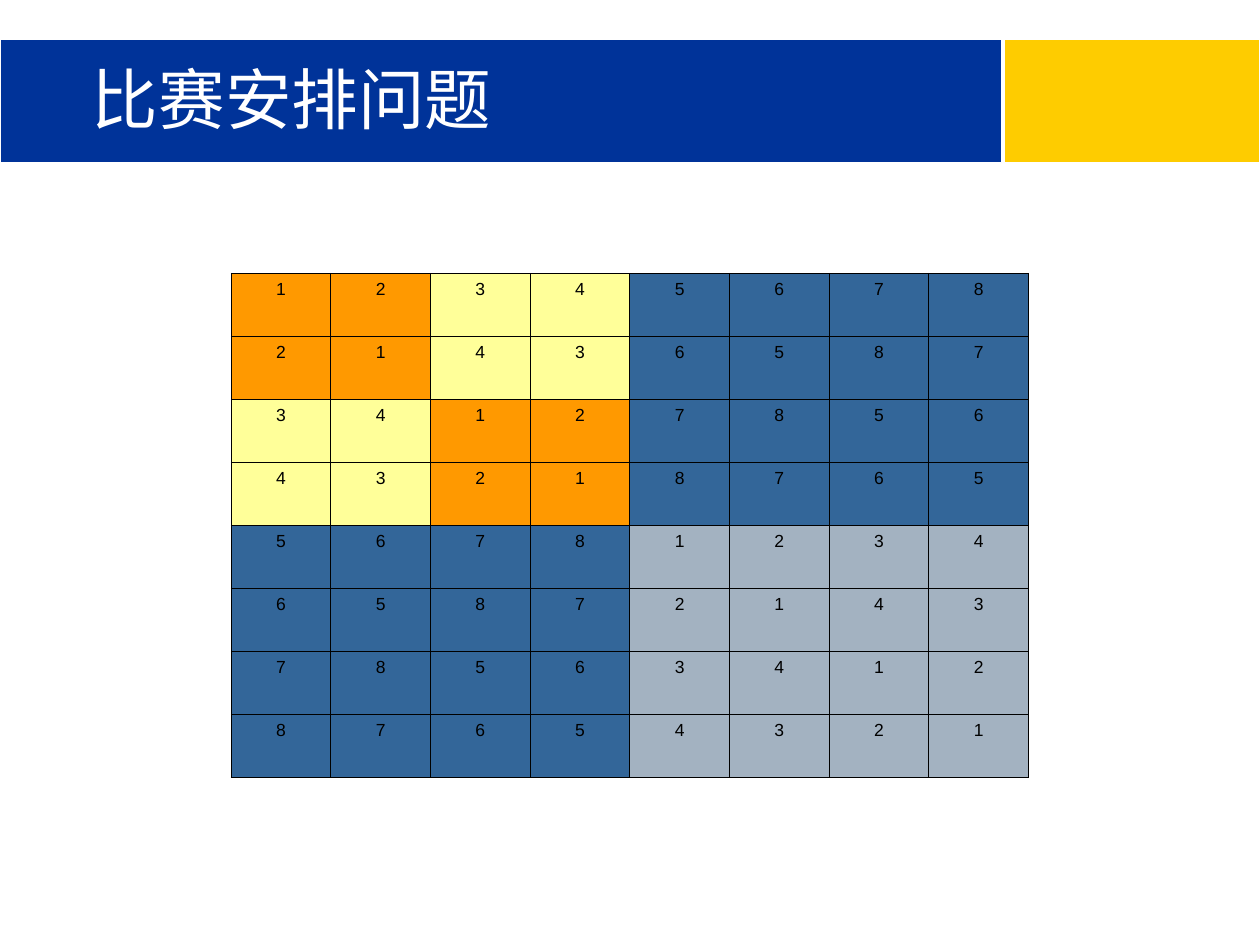
from lxml.etree import SubElement
from pptx import Presentation
from pptx.dml.color import RGBColor
from pptx.enum.shapes import MSO_SHAPE
from pptx.enum.text import MSO_ANCHOR, MSO_AUTO_SIZE, PP_ALIGN
from pptx.oxml.ns import qn
from pptx.util import Cm, Pt

TITLE = "比赛安排问题"
ROUNDS = [
    "12345678",
    "21436587",
    "34127856",
    "43218765",
    "56781234",
    "65872143",
    "78563412",
    "87654321",
]
ZONES = [
    ("orange", "cream", "blue", "blue"),
    ("cream", "orange", "blue", "blue"),
    ("blue", "blue", "grey", "grey"),
    ("blue", "blue", "grey", "grey"),
]
ZONE = 2
BANDS = [("gold", 20.24, 5.16), ("navy", 0, 20.19)]
BAND_TOP, BAND_HIGH = 0.79, 2.49
CELL_WIDE, CELL_HIGH = 2.01, 1.27
GRID_LEFT, GRID_TOP = 4.66, 5.51

THEME = {
    "gold": "FECC00",
    "navy": "003399",
    "orange": "FF9900",
    "cream": "FFFF99",
    "blue": "336699",
    "grey": "A3B2C1",
    "white": "FFFFFF",
    "black": "000000",
    "title_font": "Noto Sans CJK SC",
    "cell_font": "Arial",
    "title_size": 38,
    "cell_size": 10,
    "band_line": 0.75,
    "cell_line": 0.45,
}


def tint(name):
    return RGBColor.from_string(THEME[name])


def style(run, part, color):
    run.font.name = THEME[part + "_font"]
    run.font.size = Pt(THEME[part + "_size"])
    run.font.color.rgb = tint(color)
    east = SubElement(run.font._element, qn("a:ea"))
    east.set("typeface", THEME[part + "_font"])


def add_band(slide, color, left, wide):
    band = slide.shapes.add_shape(
        MSO_SHAPE.RECTANGLE, Cm(left), Cm(BAND_TOP), Cm(wide), Cm(BAND_HIGH))
    band.shadow.inherit = False
    band.fill.solid()
    band.fill.fore_color.rgb = tint(color)
    band.line.color.rgb = tint("white")
    band.line.width = Pt(THEME["band_line"])


def add_title(slide):
    title = slide.shapes.title
    title.left, title.top = Cm(1.6), Cm(0.84)
    title.width, title.height = Cm(22.23), Cm(2.06)
    frame = title.text_frame
    frame.text = TITLE
    frame.auto_size = MSO_AUTO_SIZE.NONE
    frame.vertical_anchor = MSO_ANCHOR.BOTTOM
    frame.paragraphs[0].alignment = PP_ALIGN.LEFT
    style(frame.paragraphs[0].runs[0], "title", "white")
    title.element.getparent().append(title.element)


def frame_cell(cell):
    props = cell._tc.get_or_add_tcPr()
    for place, side in enumerate(("a:lnL", "a:lnR", "a:lnT", "a:lnB")):
        line = SubElement(props, qn(side), w=str(Pt(THEME["cell_line"])))
        fill = SubElement(line, qn("a:solidFill"))
        SubElement(fill, qn("a:srgbClr"), val=THEME["black"])
        props.insert(place, line)


def add_grid(slide):
    rows, cols = len(ROUNDS), len(ROUNDS[0])
    grid = slide.shapes.add_table(
        rows, cols, Cm(GRID_LEFT), Cm(GRID_TOP),
        Cm(CELL_WIDE * cols), Cm(CELL_HIGH * rows)).table
    grid.first_row = grid.horz_banding = False
    for column in grid.columns:
        column.width = Cm(CELL_WIDE)
    for r, teams in enumerate(ROUNDS):
        grid.rows[r].height = Cm(CELL_HIGH)
        for c, team in enumerate(teams):
            cell = grid.cell(r, c)
            cell.text_frame.text = team
            para = cell.text_frame.paragraphs[0]
            para.alignment = PP_ALIGN.CENTER
            style(para.runs[0], "cell", "black")
            cell.fill.solid()
            cell.fill.fore_color.rgb = tint(ZONES[r // ZONE][c // ZONE])
            frame_cell(cell)


def main():
    deck = Presentation()
    deck.slide_width, deck.slide_height = Cm(25.4), Cm(19.05)
    slide = deck.slides.add_slide(deck.slide_layouts[5])
    for band in BANDS:
        add_band(slide, *band)
    add_title(slide)
    add_grid(slide)
    deck.save("out.pptx")


if __name__ == "__main__":
    main()
